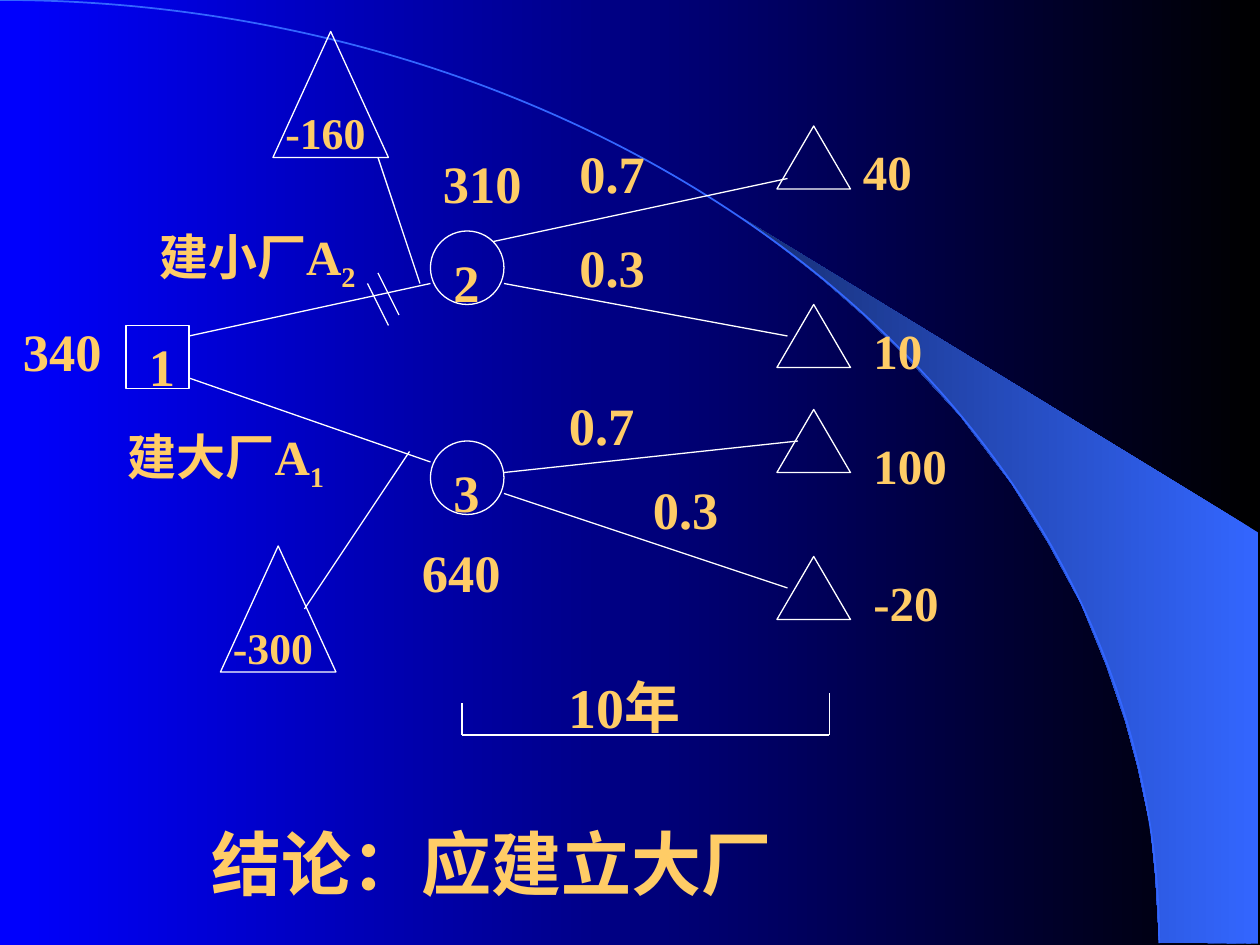
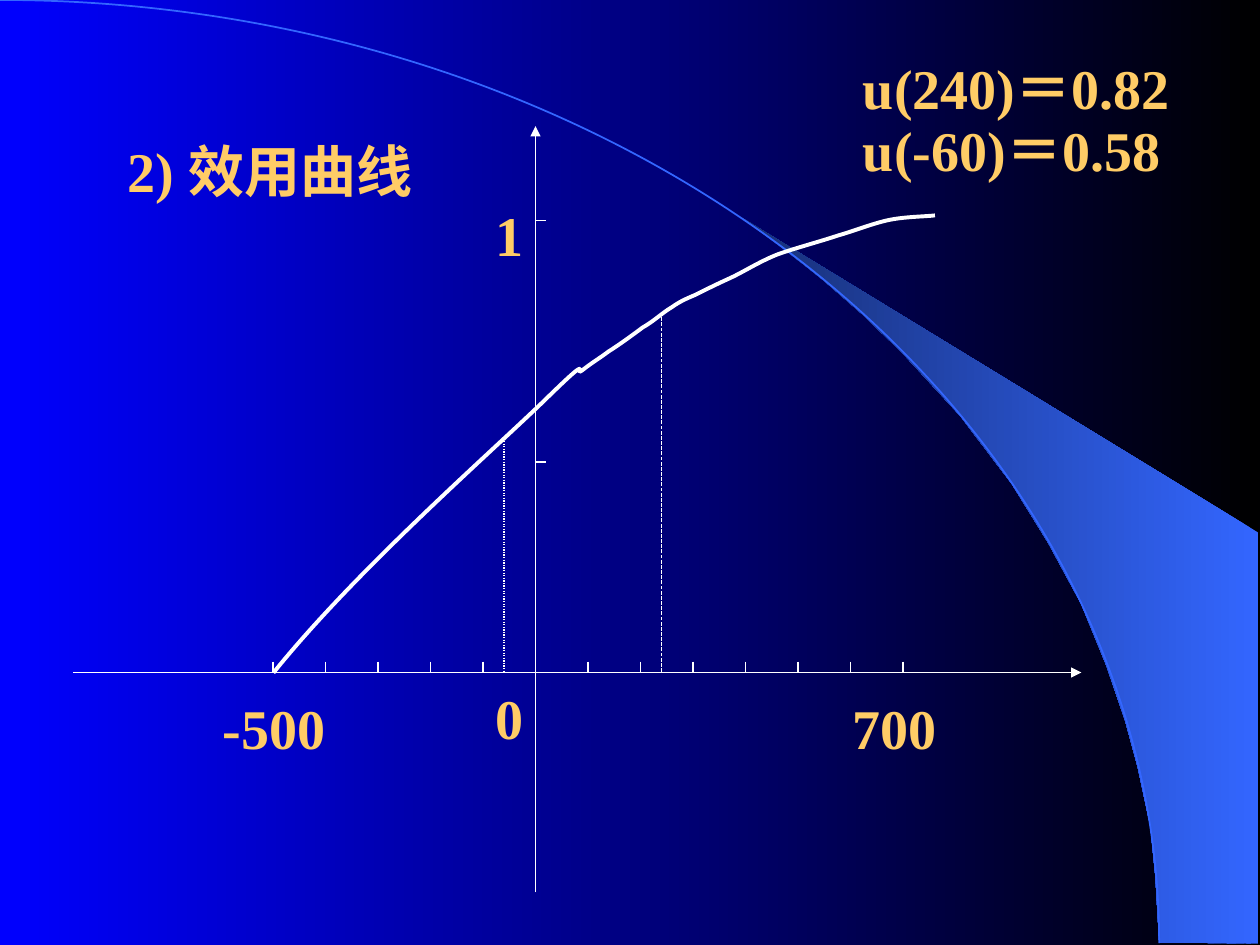
from lxml.etree import SubElement
from pptx import Presentation
from pptx.dml.color import RGBColor
from pptx.enum.dml import MSO_LINE
from pptx.enum.shapes import MSO_CONNECTOR, MSO_SHAPE
from pptx.oxml.ns import qn
from pptx.util import Cm, Pt

BLACK = RGBColor(0x00, 0x00, 0x00)
BLUE = RGBColor(0x00, 0x00, 0xFF)
SKY = RGBColor(0x33, 0x66, 0xFF)
NAVY = RGBColor(0x17, 0x2F, 0x75)
WHITE = RGBColor(0xFF, 0xFF, 0xFF)
GOLD = RGBColor(0xFF, 0xCC, 0x66)
FONT = "Times New Roman"

# Wedge outline and utility curve in inches; the curve is a chain of cubic Béziers.
WEDGE = [
    (9.2, 7.48), (9.99, 7.49), (9.99, 4.23), (5.89, 1.73), (6.24, 1.99), (6.53, 2.22),
    (6.85, 2.5), (7.16, 2.8), (7.62, 3.3), (8.03, 3.84), (8.32, 4.31), (8.58, 4.79),
    (8.78, 5.28), (8.93, 5.72), (9.03, 6.09), (9.13, 6.56), (9.17, 6.96),
]
UTILITY = [
    (2.17, 5.34), (2.83, 4.52), (3.92, 3.57), (4.33, 3.17), (4.74, 2.77), (4.54, 3),
    (4.62, 2.94), (4.71, 2.87), (4.75, 2.85), (4.83, 2.79), (4.91, 2.74), (5.02, 2.66),
    (5.1, 2.6), (5.19, 2.55), (5.26, 2.48), (5.33, 2.44), (5.4, 2.39), (5.45, 2.37),
    (5.52, 2.34), (5.6, 2.3), (5.68, 2.26), (5.79, 2.21), (5.9, 2.16), (6.02, 2.08),
    (6.17, 2.02), (6.31, 1.97), (6.5, 1.92), (6.65, 1.87), (6.79, 1.83), (6.91, 1.78),
    (7.04, 1.75), (7.17, 1.72), (7.34, 1.72), (7.42, 1.71),
]


def inches(*values):
    return [Cm(2.54 * v) for v in values]


def grid(*steps):
    """Turn steps of the drawing grid (twelve to the inch) into lengths."""
    return inches(*(n / 12 for n in steps))


def set_gradient(fill, start, end):
    fill.gradient()
    fill.gradient_angle = 180
    for stop, color in zip(fill.gradient_stops, (start, end)):
        stop.color.rgb = color


def style_line(line, color=WHITE, width=0.75):
    line.color.rgb = color
    line.width = Pt(width)


def add_outline(slide, points, close=False):
    """Draw a polyline through points given in inches."""
    start, *rest = [inches(*point) for point in points]
    builder = slide.shapes.build_freeform(*start)
    builder.add_line_segments(rest, close=close)
    sp = builder.convert_to_shape()
    sp.shadow.inherit = False
    return sp


def add_curve(slide, controls):
    """Draw a Bézier chain: each three segments of the outline become one curve."""
    sp = add_outline(slide, controls)
    sp.fill.background()
    style_line(sp.line, WHITE, 2.25)
    segments = list(sp._element.iter(qn("a:lnTo")))
    for i in range(0, len(segments), 3):
        first, *others = segments[i:i + 3]
        curve = SubElement(first.getparent(), qn("a:cubicBezTo"))
        for segment in (first, *others):
            curve.append(segment[0])
            segment.getparent().remove(segment)


def add_node(slide, kind, x, y, w, h):
    sp = slide.shapes.add_shape(kind, *grid(x, y, w, h))
    sp.shadow.inherit = False
    sp.fill.background()
    style_line(sp.line)
    return sp


def add_line(slide, x1, y1, x2, y2, dash=None, arrow=False):
    line = slide.shapes.add_connector(MSO_CONNECTOR.STRAIGHT, *grid(x1, y1, x2, y2))
    style_line(line.line)
    if dash:
        line.line.dash_style = dash
    spPr = line._element.spPr
    if arrow:
        SubElement(spPr.find(qn("a:ln")), qn("a:tailEnd"), type="triangle")
    SubElement(spPr, qn("a:effectLst"))


def add_text(slide, text, x, y, w, h, size, spacing=1.7, subscript=""):
    tf = slide.shapes.add_textbox(*grid(x, y, w, h)).text_frame
    tf.word_wrap = True
    tf.text = text
    p = tf.paragraphs[0]
    p.line_spacing = spacing
    if subscript:
        r = p.add_run()
        r.text = subscript
        r.font._element.set("baseline", "-25000")
    for p in tf.paragraphs:
        for r in p.runs:
            r.font.name = FONT
            r.font.size = Pt(size)
            r.font.bold = True
            r.font.color.rgb = GOLD
    return tf


def add_number(slide, text, x, y):
    """Expected value or probability beside a branch."""
    add_text(slide, text, x, y, 24, 6, 30, spacing=0.8)


def add_themed_slide(prs):
    slide = prs.slides.add_slide(prs.slide_layouts[6])
    wedge = add_outline(slide, WEDGE, close=True)
    set_gradient(wedge.fill, SKY, NAVY)
    wedge.line.fill.background()
    arc = add_node(slide, MSO_SHAPE.ARC, -110.4, 0, 220.8, 179.64)
    style_line(arc.line, SKY, 1)
    return slide


def add_decision_tree(prs):
    s = add_themed_slide(prs)
    add_text(s, "结论：应建立大厂", 19, 72, 104, 14.9, 40)

    add_node(s, MSO_SHAPE.RECTANGLE, 12, 31, 6, 6)
    add_text(s, "1", 13, 27, 11, 11.4, 30)
    for label, y in (("2", 22), ("3", 42)):
        add_node(s, MSO_SHAPE.OVAL, 41, y, 7, 7)
        add_text(s, label, 42, y - 3, 5, 11.4, 30)

    for cost, x, y in (("-160", 26, 3), ("-300", 21, 52)):
        add_node(s, MSO_SHAPE.ISOSCELES_TRIANGLE, x, y, 11, 12)
        add_text(s, cost, x, y + 3, 16, 9.7, 25)

    for payoff, x, y, w, triangle_y in (("40", 81, 9, 40, 12), ("10", 82, 26, 40, 29),
                                        ("100", 82, 37, 45, 39), ("-20", 82, 50, 45, 53)):
        add_node(s, MSO_SHAPE.ISOSCELES_TRIANGLE, 74, triangle_y, 7, 6)
        add_text(s, payoff, x, y, w, 10.8, 28)

    branches = [(18, 32, 41, 27), (18, 36, 41, 44), (47, 23, 75, 17),
                (48, 27, 75, 32), (48, 45, 76, 42), (48, 47, 75, 56)]
    pruning = [(36, 26, 38, 30), (35, 27, 37, 31)]
    cost_links = [(40, 27, 36, 15), (39, 43, 29, 58)]
    bracket = [(44, 67, 44, 70), (44, 70, 79, 70), (79, 66, 79, 70)]
    for ends in branches + pruning + cost_links + bracket:
        add_line(s, *ends)

    for option, subscript, x, y in (("建小厂A", "2", 14, 21), ("建大厂A", "1", 11, 40)):
        add_text(s, option, x, y, 53, 7.5, 28, spacing=1.0, subscript=subscript)
    for number, x, y in (("340", 1, 31), ("310", 41, 15), ("640", 39, 52),
                         ("0.7", 54, 14), ("0.3", 54, 23),
                         ("0.7", 53, 38), ("0.3", 61, 46)):
        add_number(s, number, x, y)
    add_text(s, "10年", 53, 59, 20, 12.1, 32)


def add_utility_curve(prs):
    s = add_themed_slide(prs)
    add_text(s, "2) 效用曲线", 11, 6, 96, 14, 32, spacing=2.0)

    origin_x, origin_y = 51, 64.05
    add_line(s, origin_x, 85, origin_x, 12, arrow=True)
    add_line(s, 7, origin_y, 103, origin_y, arrow=True)
    for hundreds in range(-5, 8):
        if hundreds:
            x = origin_x + 5 * hundreds
            add_line(s, x, 63, x, origin_y)
    for y in (21, 44):
        add_line(s, origin_x, y, origin_x + 1, y)
    for label, x, y, w in (("0", 46, 60, 9), ("-500", 20, 61, 16),
                           ("700", 80, 61, 16), ("1", 46, 14, 16)):
        add_text(s, label, x, y, w, 12.1, 32)

    add_curve(s, UTILITY)
    add_line(s, 48, 42, 48, 64, dash=MSO_LINE.ROUND_DOT)
    add_line(s, 63, 64, 63, 30, dash=MSO_LINE.SQUARE_DOT)

    tf = add_text(s, "u(240)＝0.82\nu(-60)＝0.58", 81, 0, 39, 17.4, 32)
    p = tf.paragraphs[1]
    p.line_spacing = 0.3
    p.space_before = Pt(20)


def main():
    prs = Presentation()
    prs.slide_width, prs.slide_height = Cm(25.4), Cm(19.05)
    set_gradient(prs.slide_master.background.fill, BLACK, BLUE)
    add_decision_tree(prs)
    add_utility_curve(prs)
    prs.save("out.pptx")


if __name__ == "__main__":
    main()
